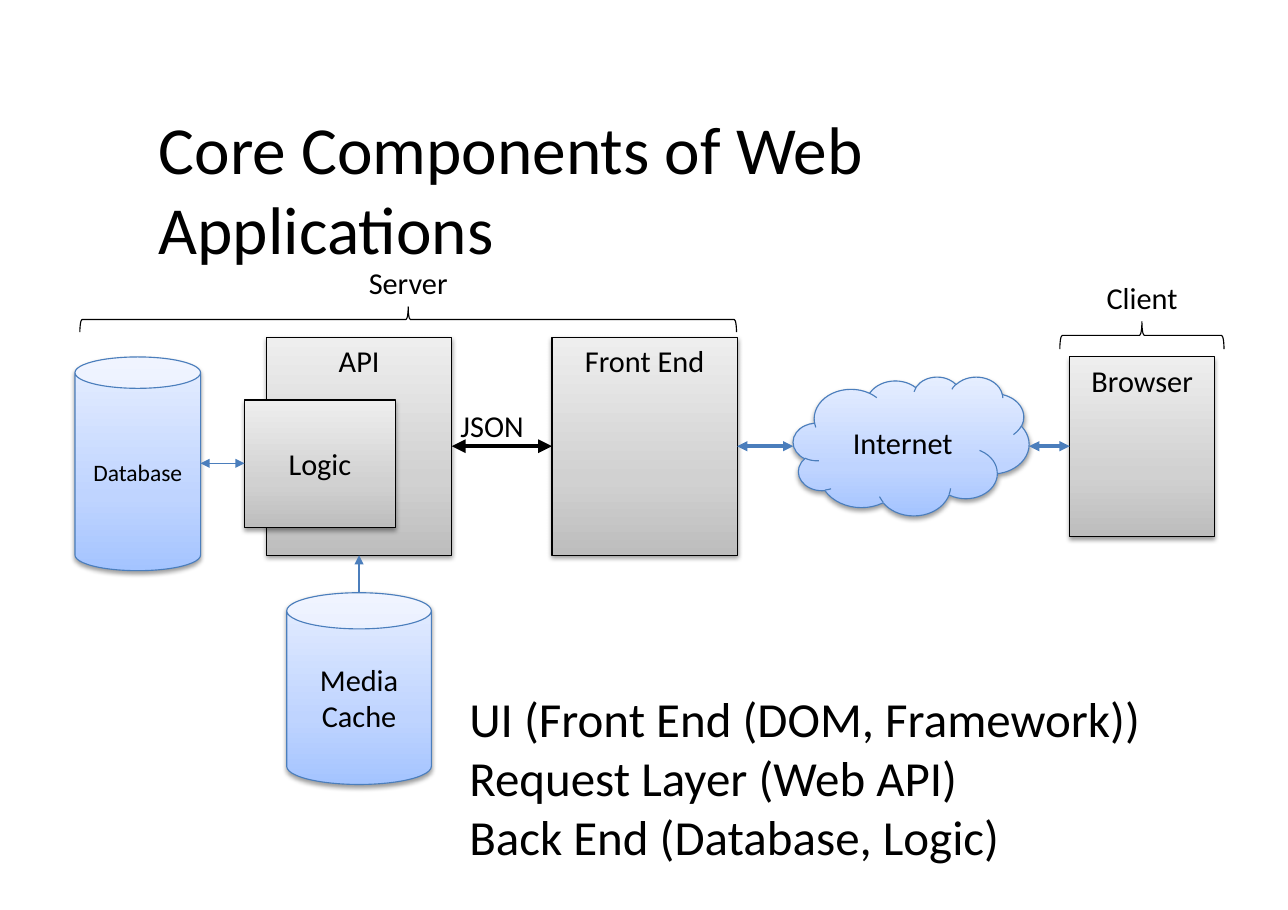
import copy
from dataclasses import dataclass

import lxml.etree
import pptx
import pptx.dml.color
import pptx.enum.shapes
import pptx.enum.text
import pptx.oxml.ns
import pptx.util

Pt = pptx.util.Pt
Rgb = pptx.dml.color.RGBColor.from_string
Shape = pptx.enum.shapes.MSO_SHAPE
Align = pptx.enum.text.PP_ALIGN
Anchor = pptx.enum.text.MSO_ANCHOR
AutoSize = pptx.enum.text.MSO_AUTO_SIZE
qn = pptx.oxml.ns.qn


@dataclass(frozen=True)
class Theme:
    font: str = "Calibri"
    title_size: float = 44
    body_size: float = 32
    label_size: float = 19.8
    small_size: float = 15.4
    black: str = "000000"
    blue: str = "4B7EBC"
    stops: tuple = (0, 0.35, 1)
    blue_fill: tuple = ("A4C4FF", "BFD4FF", "E6EEFF")
    grey_fill: tuple = ("BDBDBD", "D1D1D1", "EEEEEE")
    thin: float = 0.75


def fill_text(frame, text, *, font, size, color, align=Align.LEFT, anchor=Anchor.TOP):
    """Fill a text frame, one paragraph for each line of the text."""
    frame.word_wrap = True
    frame.vertical_anchor = anchor
    for index, line in enumerate(text.split("\n")):
        para = frame.paragraphs[0] if index == 0 else frame.add_paragraph()
        para.alignment = align
        span = para.add_run()
        span.text = line
        span.font.name = font
        span.font.size = Pt(size)
        span.font.color.rgb = Rgb(color)


def remove_insets(frame):
    frame.margin_left = frame.margin_right = 0
    frame.margin_top = frame.margin_bottom = 0


class Diagram:
    def __init__(self, page, theme):
        self.page = page
        self.theme = theme

    def label(self, box, text, size, **options):
        fill_text(box.text_frame, text, font=self.theme.font, size=size,
                  color=self.theme.black, **options)

    def title(self, text, left, top, width, height):
        box = self.page.shapes.title
        box.left, box.top = Pt(left), Pt(top)
        box.width, box.height = Pt(width), Pt(height)
        remove_insets(box.text_frame)
        box.text_frame.auto_size = AutoSize.SHAPE_TO_FIT_TEXT
        self.label(box, text, self.theme.title_size)

    def text(self, text, left, top, width, height, size=None, **options):
        box = self.page.shapes.add_textbox(Pt(left), Pt(top), Pt(width), Pt(height))
        box.text_frame.auto_size = AutoSize.SHAPE_TO_FIT_TEXT
        self.label(box, text, size or self.theme.label_size, **options)
        return box

    def component(self, kind, text, left, top, width, height,
                  size=None, anchor=Anchor.MIDDLE):
        """Add a shaded block: grey for a rectangle, blue for other shapes."""
        grey = kind == Shape.RECTANGLE
        box = self.page.shapes.add_shape(kind, Pt(left), Pt(top), Pt(width), Pt(height))
        self.shade(box, self.theme.grey_fill if grey else self.theme.blue_fill)
        self.outline(box.line, self.theme.black if grey else self.theme.blue)
        self.drop_shadow(box)
        self.label(box, text, size or self.theme.label_size,
                   align=Align.CENTER, anchor=anchor)
        return box

    def outline(self, line, color, width=None):
        line.color.rgb = Rgb(color)
        line.width = Pt(width or self.theme.thin)

    def shade(self, box, colors):
        """Fill with three stops, running from the bottom to the top."""
        box.fill.gradient()
        box.fill.gradient_angle = 90
        stop_list = box._element.spPr.find(".//" + qn("a:gsLst"))
        stop_list.append(copy.deepcopy(stop_list[0]))
        for stop, position, color in zip(box.fill.gradient_stops, self.theme.stops, colors):
            stop.position = position
            stop.color.rgb = Rgb(color)

    def drop_shadow(self, box):
        box.shadow.inherit = False
        effects = box._element.spPr.find(qn("a:effectLst"))
        shadow = lxml.etree.SubElement(
            effects, qn("a:outerShdw"), blurRad=str(Pt(3.1)), dist=str(Pt(1.6)),
            dir="5400000", rotWithShape="0")
        color = lxml.etree.SubElement(shadow, qn("a:srgbClr"), val=self.theme.black)
        lxml.etree.SubElement(color, qn("a:alpha"), val="38000")

    def arrow(self, start, end, color, width=None, ends=("headEnd", "tailEnd")):
        link = self.page.shapes.add_connector(
            pptx.enum.shapes.MSO_CONNECTOR.STRAIGHT, *start, *end)
        self.outline(link.line, color, width)
        line = link._element.spPr.find(qn("a:ln"))
        for name in ends:
            lxml.etree.SubElement(line, qn("a:" + name), type="triangle")
        lxml.etree.SubElement(link._element.spPr, qn("a:effectLst"))

    def arrow_across(self, first, second, level, color, width=None):
        """Join the right edge of one block to the left edge of the next."""
        self.arrow((first.left + first.width, Pt(level)), (second.left, Pt(level)),
                   color, width)

    def brace(self, left, top, width, height):
        """Add an upward brace that covers the given area."""
        middle_x, middle_y = left + width / 2, top + height / 2
        brace = self.page.shapes.add_shape(
            Shape.RIGHT_BRACE, Pt(middle_x - height / 2), Pt(middle_y - width / 2),
            Pt(height), Pt(width))
        brace.rotation = 270
        brace.fill.background()
        brace.shadow.inherit = False
        self.outline(brace.line, self.theme.black)


def main():
    deck = pptx.Presentation()
    deck.slide_width, deck.slide_height = Pt(841.7), Pt(594.7)
    theme = Theme()
    diagram = Diagram(deck.slides.add_slide(deck.slide_layouts[5]), theme)

    diagram.title("Core Components of Web Applications", 103.7, 69.8, 634.3, 106.6)
    layers = diagram.text(
        "UI (Front End (DOM, Framework))\nRequest Layer (Web API)\n"
        "Back End (Database, Logic)", 306.7, 450, 516.2, 116.6, theme.body_size)
    remove_insets(layers.text_frame)

    internet = diagram.component(Shape.CLOUD, "Internet", 518.4, 246.2, 154.1, 90.7)
    browser = diagram.component(Shape.RECTANGLE, "Browser", 699.1, 233.3, 94.5, 117.4,
                                anchor=Anchor.TOP)
    cache = diagram.component(Shape.CAN, "Media Cache", 187.4, 387.4, 94.5, 125.3)
    api, front_end = [
        diagram.component(Shape.RECTANGLE, name, left, 220.3, 121, 142.6,
                          anchor=Anchor.TOP)
        for name, left in (("API", 174.2), ("Front End", 360.7))]

    cache_middle = cache.left + cache.width // 2
    diagram.arrow((cache_middle, cache.top), (cache_middle, api.top + api.height),
                  theme.blue, ends=("tailEnd",))
    main_level = 291.6
    diagram.arrow_across(front_end, internet, main_level, theme.blue, 2.25)
    diagram.arrow_across(internet, browser, main_level, theme.blue, 2.25)
    diagram.arrow_across(api, front_end, main_level, theme.black, 3)
    diagram.text("JSON", 293.8, 262.8, 97.2, 31)

    database = diagram.component(Shape.CAN, "Database", 49, 233.3, 82.1, 139.7,
                                 size=theme.small_size)
    logic = diagram.component(Shape.RECTANGLE, "Logic", 159.8, 261.4, 98.6, 83.5)
    diagram.arrow_across(database, logic, 302.8, theme.blue)

    diagram.brace(692.6, 210.2, 107.3, 18)
    diagram.text("Client", 709.2, 178.6, 74.2, 31, align=Align.CENTER)
    diagram.brace(52.2, 200.5, 429.1, 16.6)
    diagram.text("Server", 158.4, 169.2, 216.7, 31, align=Align.CENTER)
    deck.save("out.pptx")


if __name__ == "__main__":
    main()
